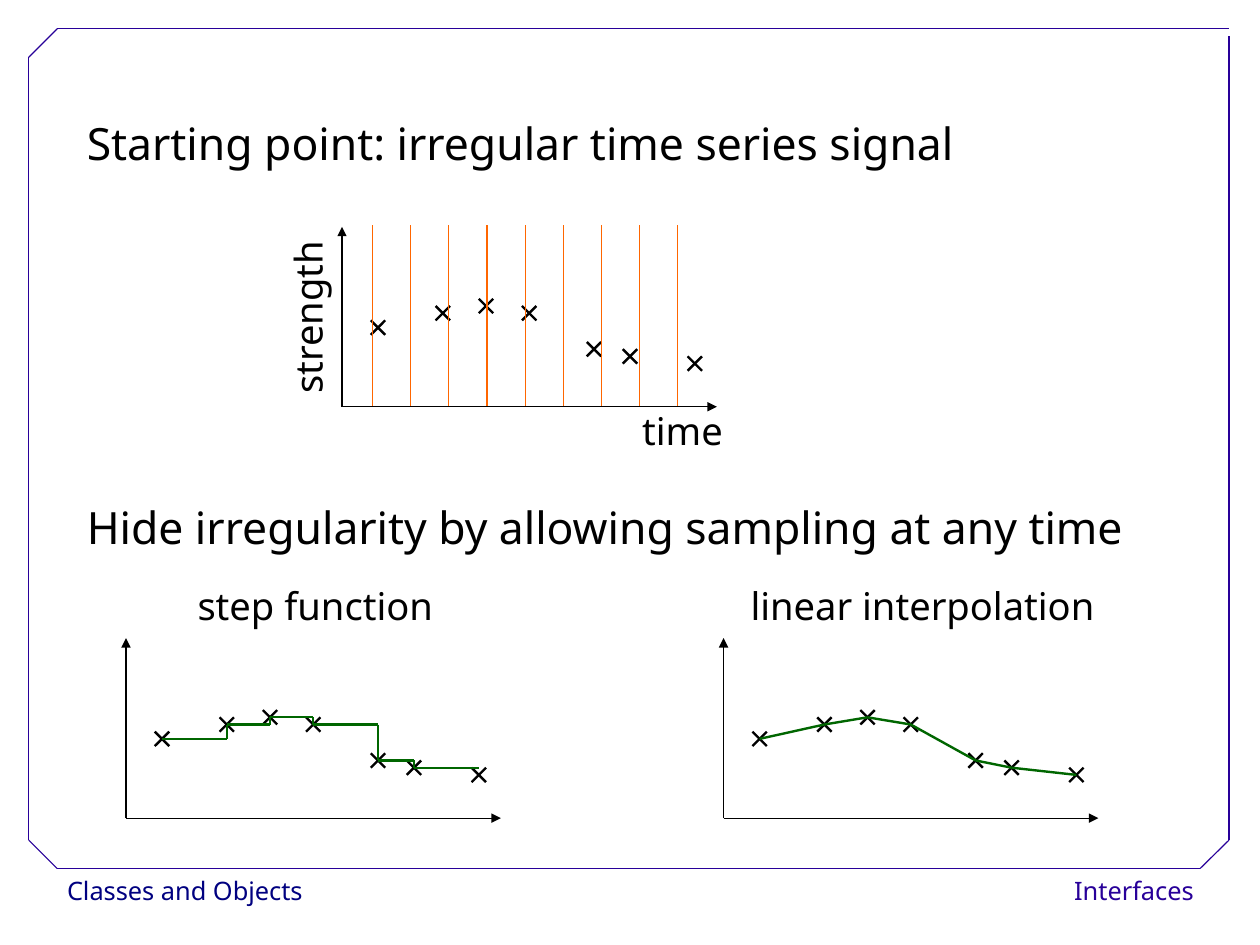
from dataclasses import dataclass
from itertools import pairwise

from lxml.etree import SubElement
from pptx import Presentation
from pptx.dml.color import RGBColor
from pptx.enum.shapes import MSO_CONNECTOR
from pptx.enum.text import MSO_AUTO_SIZE, PP_ALIGN
from pptx.oxml.ns import qn
from pptx.util import Cm, Pt


@dataclass(frozen=True)
class Theme:
    font: str = "Noto Sans"
    text: str = "000000"
    frame: str = "280099"
    course: str = "000080"
    curve: str = "006600"
    sampling: str = "FF6600"
    background: str = "FFFFFF"
    heading_size: int = 28
    label_size: int = 24
    footer_size: int = 16
    thin: float = 0.75
    thick: float = 1.5


theme = Theme()


def add_line(shapes, start, end, color, width, arrow=False):
    """Draw a straight line between two (x, y) points in centimetres."""
    line = shapes.add_connector(
        MSO_CONNECTOR.STRAIGHT, *(Cm(value) for value in (*start, *end)))
    line.line.color.rgb = RGBColor.from_string(color)
    line.line.width = Pt(width)
    properties = line.element.spPr
    if arrow:
        SubElement(properties.find(qn("a:ln")), qn("a:tailEnd"), type="triangle")
    SubElement(properties, qn("a:effectLst"))


def add_text(shapes, text, box, size, color=theme.text, spacing=0.93, wrap=False):
    """Add one line of text in a (left, top, width, height) box in centimetres."""
    shape = shapes.add_textbox(*(Cm(value) for value in box))
    frame = shape.text_frame
    frame.word_wrap = wrap
    frame.auto_size = MSO_AUTO_SIZE.SHAPE_TO_FIT_TEXT
    frame.text = text
    paragraph = frame.paragraphs[0]
    paragraph.line_spacing = spacing
    font = paragraph.runs[0].font
    font.name = theme.font
    font.size = Pt(size)
    font.color.rgb = RGBColor.from_string(color)
    return shape


presentation = Presentation()
presentation.slide_width = Cm(28)
presentation.slide_height = Cm(21)
slide = presentation.slides.add_slide(presentation.slide_layouts[6])
shapes = slide.shapes

# Footer
footers = [
    ("Classes and Objects", 1.24, 5.8, theme.course, PP_ALIGN.LEFT),
    ("Interfaces", 23.22, 3.56, theme.frame, PP_ALIGN.RIGHT),
]
for text, left, width, color, alignment in footers:
    footer = add_text(shapes, text, (left, 19.3, width, 1.02),
                      theme.footer_size, color, spacing=1.02)
    footer.fill.solid()
    footer.fill.fore_color.rgb = RGBColor.from_string(theme.background)
    footer.text_frame.paragraphs[0].alignment = alignment

# Frame with cut corners, open at the top right
frame_corners = [(27.31, 0.81), (27.31, 18.67), (26.67, 19.3), (1.27, 19.3),
                 (0.64, 18.67), (0.64, 1.27), (1.27, 0.64), (27.31, 0.64)]
frame_group = shapes.add_group_shape()
for start, end in pairwise(frame_corners):
    add_line(frame_group.shapes, start, end, theme.frame, theme.thin)

# Headings and labels
headings = [("Starting point: irregular time series signal", 1.85),
            ("Hide irregularity by allowing sampling at any time", 10.39)]
for text, top in headings:
    add_text(shapes, text, (1.68, top, 24, 2.03), theme.heading_size,
             spacing=1.5, wrap=True)

labels = [("time", 14.02, 9.02, 2.5, 0), ("strength", 4.93, 6.45, 3.91, 270),
          ("step function", 4.14, 12.9, 5.74, 0),
          ("linear interpolation", 16.43, 12.9, 8.15, 0)]
for text, left, top, width, rotation in labels:
    label = add_text(shapes, text, (left, top, width, 1.19), theme.label_size)
    label.rotation = rotation

# Three plots of the same signal, measured in grid units from each origin
unit = 0.16
signal = [(5, 11), (14, 13), (20, 14), (26, 13), (35, 8), (40, 7), (49, 6)]
origins = {"samples": (7.6, 9.04), "step": (2.8, 18.18), "linear": (16.08, 18.18)}
points = {}
for plot, (left, base) in origins.items():
    for end in [(left + 8.33, base), (left, base - 4)]:
        add_line(shapes, (left, base), end, theme.text, theme.thin, arrow=True)
    points[plot] = [(left + x * unit, base - y * unit) for x, y in signal]
    for x, y in points[plot]:
        cross = shapes.add_group_shape()
        for rise in (unit, -unit):
            add_line(cross.shapes, (x - unit, y - rise), (x + unit, y + rise),
                     theme.text, theme.thick)

# Step function: hold each value until the next point
step_path = points["step"][:1]
for (_, held), (x, y) in pairwise(points["step"]):
    step_path += [(x, held), (x, y)]
step_path.pop()

for curve in (step_path, points["linear"]):
    for start, end in pairwise(curve):
        add_line(shapes, start, end, theme.curve, theme.thick)

# Regular sampling times
sampling_group = shapes.add_group_shape()
first_sample, last_sample, intervals = 8.28, 15.06, 8
for index in range(intervals + 1):
    x = first_sample + index * (last_sample - first_sample) / intervals
    add_line(sampling_group.shapes, (x, 9.02), (x, 5), theme.sampling, theme.thin)

presentation.save("out.pptx")
